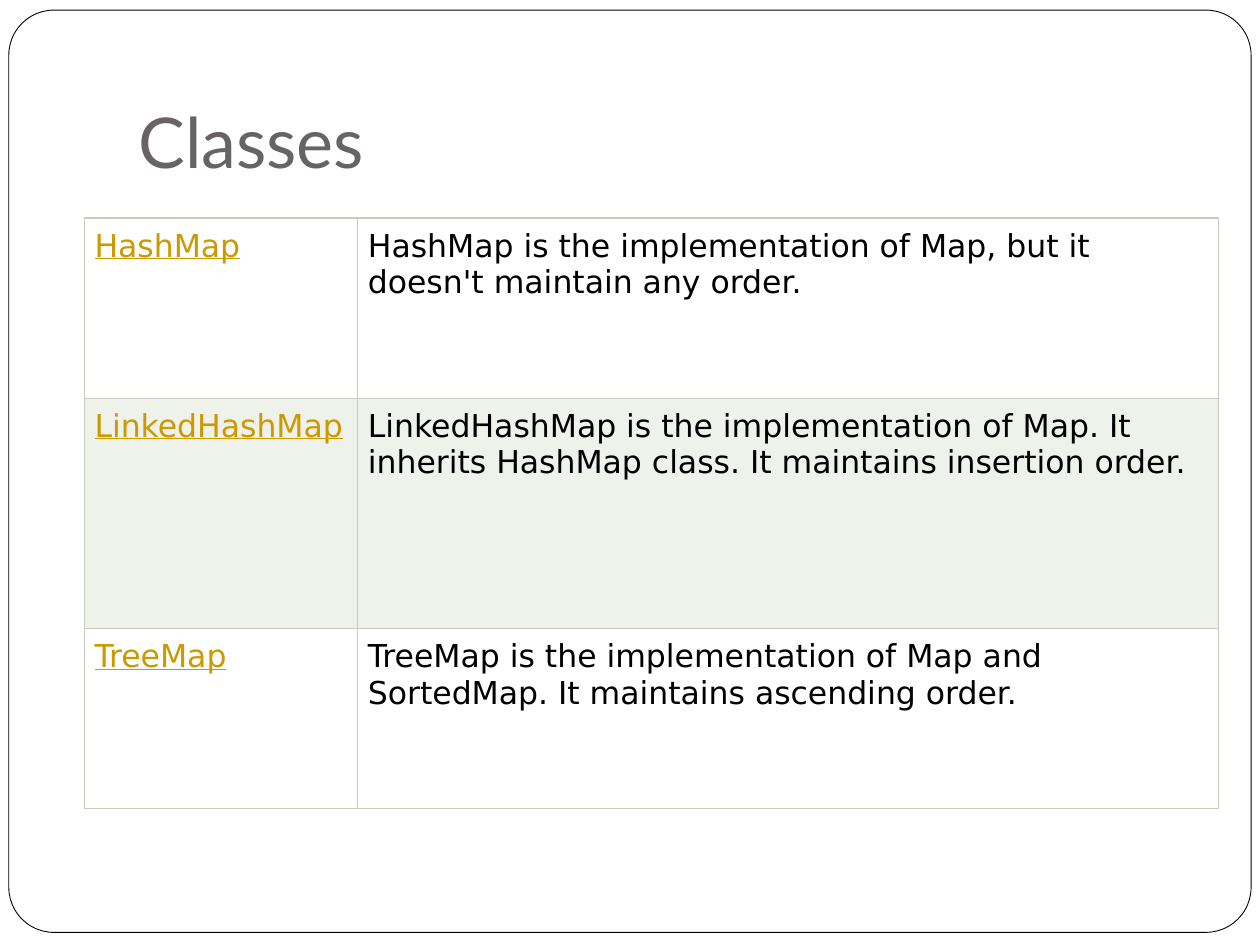
"""Build a slide with a table of the Map classes."""
from dataclasses import dataclass

from lxml import etree
from pptx import Presentation
from pptx import util as u
from pptx.dml.color import RGBColor
from pptx.enum import shapes, text
from pptx.oxml import ns

WHITE = RGBColor(0xFF, 0xFF, 0xFF)
BLACK = RGBColor(0x00, 0x00, 0x00)
GREY = RGBColor(0x69, 0x64, 0x64)
GOLD = RGBColor(0xCC, 0x99, 0x00)
SAGE = RGBColor(0xEF, 0xF1, 0xEB)
RULE = RGBColor(0xC7, 0xCC, 0xBE)
WIDE, HIGH = 10, 7.5
COLS = (2.17, 6.83)
PAD = 0.08


@dataclass(frozen=True)
class Entry:
    name: str
    about: str
    high: float
    fill: RGBColor


ROWS = (
    Entry("HashMap", "HashMap is the implementation of Map, but it doesn't "
          "maintain any order.", 1.43, WHITE),
    Entry("LinkedHashMap", "LinkedHashMap is the implementation of Map. It "
          "inherits HashMap class. It maintains insertion order.", 1.83, SAGE),
    Entry("TreeMap", "TreeMap is the implementation of Map and SortedMap. It "
          "maintains ascending order.", 1.43, WHITE),
)


def write(frame, words: str, *, size: float = 18, font: str = "DejaVu Sans",
          color: RGBColor = BLACK, under: bool = False) -> None:
    frame.word_wrap = True
    run = frame.paragraphs[0].add_run()
    run.text = words
    run.font.size = u.Pt(size)
    run.font.name = font
    run.font.color.rgb = color
    run.font.underline = under


def inset(box, left: float, top: float, right: float, low: float) -> None:
    box.margin_left, box.margin_top = u.Inches(left), u.Inches(top)
    box.margin_right, box.margin_bottom = u.Inches(right), u.Inches(low)


def edge(cell) -> None:
    props = cell._tc.get_or_add_tcPr()
    for spot, side in enumerate(("lnL", "lnR", "lnT", "lnB")):
        line = etree.Element(ns.qn(f"a:{side}"), w=str(u.Pt(0.75)))
        fill = etree.SubElement(line, ns.qn("a:solidFill"))
        etree.SubElement(fill, ns.qn("a:srgbClr"), val=str(RULE))
        props.insert(spot, line)


def frame(slide) -> None:
    card = slide.shapes.add_shape(
        shapes.MSO_SHAPE.ROUNDED_RECTANGLE, u.Inches(0.07), u.Inches(0.08),
        u.Inches(9.86), u.Inches(7.32))
    card.adjustments[0] = 0.049
    card.shadow.inherit = False
    card.fill.solid()
    card.fill.fore_color.rgb = WHITE
    card.line.color.rgb = BLACK
    card.line.width = u.Pt(0.5)


def title(slide) -> None:
    head = slide.shapes.add_textbox(
        u.Inches(1), u.Inches(0.3), u.Inches(8.5), u.Inches(1.25)).text_frame
    inset(head, 0.1, 0.05, 0.1, 0.1)
    head.vertical_anchor = text.MSO_ANCHOR.BOTTOM
    write(head, "Classes", size=40, font="Lato", color=GREY)


def table(slide) -> None:
    grid = slide.shapes.add_table(
        len(ROWS), len(COLS), u.Inches(0.67), u.Inches(1.73),
        u.Inches(sum(COLS)), u.Inches(sum(row.high for row in ROWS))).table
    grid.first_row = grid.horz_banding = False
    for col, wide in zip(grid.columns, COLS):
        col.width = u.Inches(wide)
    for line, row in zip(grid.rows, ROWS):
        line.height = u.Inches(row.high)
        name, about = line.cells
        for cell in (name, about):
            inset(cell, PAD, PAD, PAD, PAD)
            cell.fill.solid()
            cell.fill.fore_color.rgb = row.fill
            edge(cell)
        write(name.text_frame, row.name, color=GOLD, under=True)
        write(about.text_frame, row.about)


def main() -> None:
    deck = Presentation()
    deck.slide_width, deck.slide_height = u.Inches(WIDE), u.Inches(HIGH)
    slide = deck.slides.add_slide(deck.slide_layouts[6])
    frame(slide)
    title(slide)
    table(slide)
    deck.save("out.pptx")


main()
